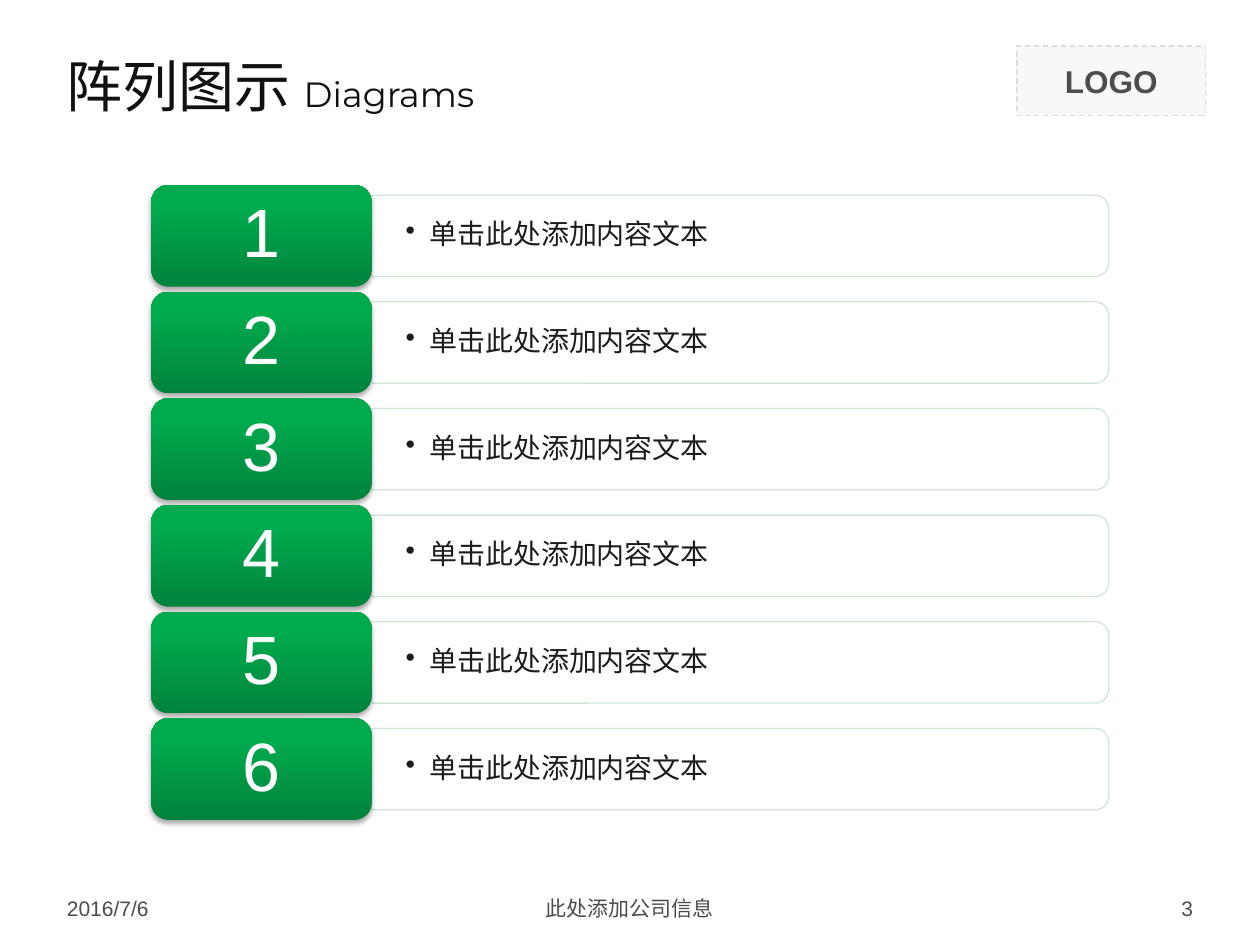
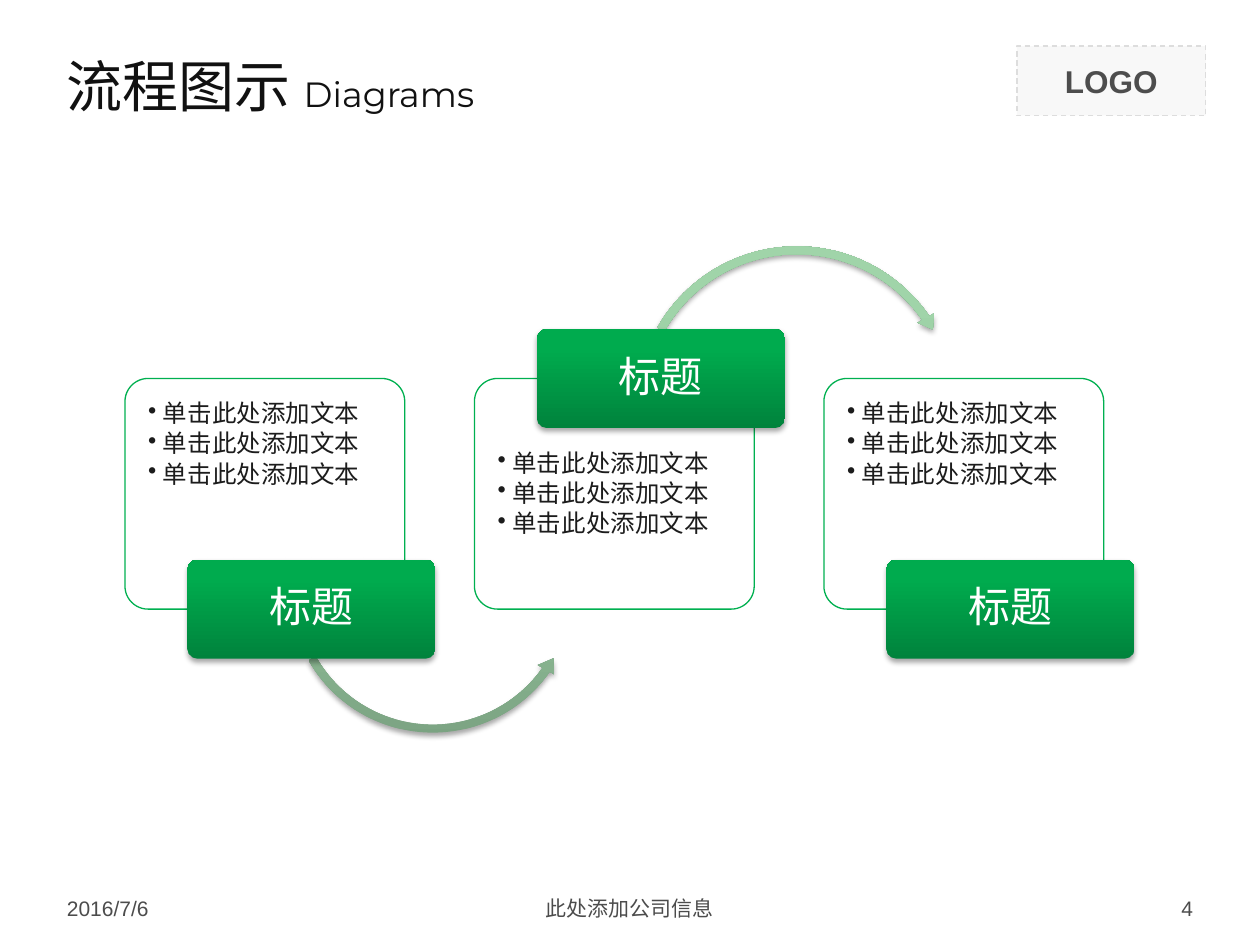
from collections import namedtuple
from dataclasses import dataclass

from lxml import etree
from pptx import Presentation
from pptx.dml.color import RGBColor
from pptx.enum.dml import MSO_LINE
from pptx.enum.shapes import MSO_SHAPE
from pptx.enum.text import MSO_ANCHOR, PP_ALIGN
from pptx.oxml.ns import qn
from pptx.util import Cm, Pt

RECT = MSO_SHAPE.RECTANGLE
ROUNDED = MSO_SHAPE.ROUNDED_RECTANGLE
TOP_ROUNDED = MSO_SHAPE.ROUND_2_SAME_RECTANGLE
ARROW_UNDER = MSO_SHAPE.LEFT_CIRCULAR_ARROW
ARROW_OVER = MSO_SHAPE.CIRCULAR_ARROW
DASH = MSO_LINE.DASH
TOP, MIDDLE = MSO_ANCHOR.TOP, MSO_ANCHOR.MIDDLE
LEFT, CENTER, RIGHT = PP_ALIGN.LEFT, PP_ALIGN.CENTER, PP_ALIGN.RIGHT

Box = namedtuple("Box", "left top width height")  # centimetres


@dataclass(frozen=True)
class Theme:
    font: str = "Arial"
    title_font: str = "Montserrat"
    title: str = "111111"
    body: str = "1C1C1C"
    footer: str = "4C4C4C"
    logo: str = "4D4D4D"
    logo_fill: str = "F8F8F8"
    logo_line: str = "DDDDDD"
    white: str = "FFFFFF"
    bar_line: str = "CCE4D0"
    card_line: str = "00B050"
    green: tuple = ("00833C", "00AB4E")
    pale_green: tuple = ("7BA382", "A0D4A9")
    title_size: int = 32
    subtitle_size: int = 20
    logo_size: int = 18
    footer_size: int = 12
    number_size: int = 39
    bar_size: int = 16
    tag_size: int = 24
    card_size: int = 14
    hairline: float = 0.75


THEME = Theme()
SLIDE_SIZE = (25.4, 19.05)
LOGO_BOX = Box(20.5, 0.93, 3.81, 1.4)
TITLE_BOX = Box(1.1, 0.71, 23.22, 2.01)
FOOTER_BOX = Box(1.1, 17.93, 23.2, 0.74)
LIST_BOX = Box(3.05, 3.73, 19.3, 12.8)
PROCESS_BOX = Box(2.52, 7.63, 19.73, 4.65)

SUBTITLE = "Diagrams"
DATE = "2016/7/6"
COMPANY = "此处添加公司信息"


# Shared drawing helpers

def rgb(color):
    return RGBColor.from_string(color)


def lengths(box):
    return [Cm(value) for value in box]


def set_opacity(fill_owner, percent):
    """Add an alpha value to every solid colour below an element."""
    for color in fill_owner.iter(qn("a:srgbClr")):
        etree.SubElement(color, qn("a:alpha")).set("val", str(percent * 1000))


def add_outlined(slide, kind, box, fill, line):
    shape = slide.shapes.add_shape(kind, *lengths(box))
    shape.shadow.inherit = False
    shape.fill.solid()
    shape.fill.fore_color.rgb = rgb(fill)
    shape.line.color.rgb = rgb(line)
    shape.line.width = Pt(THEME.hairline)
    return shape


def add_glossy(slide, kind, box, colors):
    """Shape with a vertical gradient and a soft shadow below it."""
    shape = slide.shapes.add_shape(kind, *lengths(box))
    shape.line.fill.background()
    shape.fill.gradient()
    shape.fill.gradient_angle = 90
    for stop, color, position in zip(shape.fill.gradient_stops, colors, (0, 0.8)):
        stop.color.rgb = rgb(color)
        stop.position = position

    shape.shadow.inherit = False
    effects = shape._element.spPr.find(qn("a:effectLst"))
    shadow = etree.SubElement(effects, qn("a:outerShdw"), blurRad=str(Pt(3.1)),
                              dist=str(Pt(1.8)), dir="5400000", rotWithShape="0")
    etree.SubElement(shadow, qn("a:srgbClr"), val="000000")
    set_opacity(shadow, 35)
    return shape


def add_bullet(paragraph, indent):
    properties = paragraph._p.get_or_add_pPr()
    properties.set("marL", str(Cm(indent)))
    properties.set("indent", str(-Cm(indent)))
    etree.SubElement(properties, qn("a:buChar"), char="•")


def write(shape, lines, size, color, align=LEFT, anchor=MIDDLE, insets=None,
          bullet_indent=None, spacing=None, bold=False):
    """Fill a shape with equally styled paragraphs; insets run left, top, right, bottom."""
    frame = shape.text_frame
    frame.word_wrap = True
    frame.vertical_anchor = anchor
    if insets:
        (frame.margin_left, frame.margin_top,
         frame.margin_right, frame.margin_bottom) = lengths(insets)
    frame.text = "\n".join(lines)
    for paragraph in frame.paragraphs:
        if bullet_indent:
            add_bullet(paragraph, bullet_indent)
        paragraph.alignment = align
        if spacing:
            paragraph.line_spacing = spacing
            paragraph.space_after = Pt(0.15 * size)
        paragraph.font.name = THEME.font
        paragraph.font.size = Pt(size)
        paragraph.font.bold = bold
        paragraph.font.color.rgb = rgb(color)


# Parts on every slide

def add_logo_field(slide, box):
    field = add_outlined(slide, RECT, box, THEME.logo_fill, THEME.logo_line)
    field.line.dash_style = DASH
    write(field, ["LOGO"], THEME.logo_size, THEME.logo, CENTER, bold=True)


def add_title(slide, box, title, subtitle):
    frame = slide.shapes.add_textbox(*lengths(box)).text_frame
    frame.word_wrap = True
    frame.vertical_anchor = MIDDLE
    heading = frame.paragraphs[0]
    heading.font.name = THEME.title_font
    heading.font.color.rgb = rgb(THEME.title)
    for text, size in ((title + " ", THEME.title_size), (subtitle, THEME.subtitle_size)):
        run = heading.add_run()
        run.text = text
        run.font.size = Pt(size)


def add_footer(slide, box, number):
    side, middle = 5.92, 8.05
    fields = (
        (DATE, 0, side, LEFT),
        (COMPANY, (box.width - middle) / 2, middle, CENTER),
        (str(number), box.width - side, side, RIGHT),
    )
    for text, offset, width, align in fields:
        field = slide.shapes.add_textbox(
            *lengths(Box(box.left + offset, box.top, width, box.height)))
        write(field, [text], THEME.footer_size, THEME.footer, align)


def new_slide(deck, title, number):
    slide = deck.slides.add_slide(deck.slide_layouts[6])
    add_logo_field(slide, LOGO_BOX)
    add_title(slide, TITLE_BOX, title, SUBTITLE)
    add_footer(slide, FOOTER_BOX, number)
    return slide


# Numbered list

def add_bar(slide, box, text):
    # The outline is turned a quarter so its rounded end faces right
    upright = Box(box.left + (box.width - box.height) / 2,
                  box.top + (box.height - box.width) / 2, box.height, box.width)
    outline = add_outlined(slide, TOP_ROUNDED, upright, THEME.white, THEME.bar_line)
    outline.rotation = 90
    set_opacity(outline._element.spPr, 90)
    label = slide.shapes.add_textbox(*lengths(box))
    write(label, [text], THEME.bar_size, THEME.body, insets=(0.69, 0.36, 0.69, 0.36),
          bullet_indent=0.48, spacing=0.9)


def add_numbered_list(slide, box, items):
    gap = 0.1
    height = (box.height - gap * (len(items) - 1)) / len(items)
    badge_width = 0.23 * box.width
    bar_height = 0.8 * height
    for index, text in enumerate(items):
        top = box.top + index * (height + gap)
        add_bar(slide, Box(box.left + badge_width, top + (height - bar_height) / 2,
                           box.width - badge_width, bar_height), text)
        badge = add_glossy(slide, ROUNDED, Box(box.left, top, badge_width, height),
                           THEME.green)
        write(badge, [str(index + 1)], THEME.number_size, THEME.white, CENTER,
              insets=(0.41, 0.2, 0.41, 0.2), spacing=0.9)


# Process

def add_card(slide, box, lines, top_inset):
    card = add_outlined(slide, ROUNDED, box, THEME.white, THEME.card_line)
    card.adjustments[0] = 0.1
    set_opacity(card._element.spPr.find(qn("a:solidFill")), 90)
    write(card, lines, THEME.card_size, THEME.body, anchor=TOP,
          insets=(0.33, top_inset, 0.33, 0.33), bullet_indent=0.3, spacing=0.9)


def add_curved_arrow(slide, kind, box, shaft, head_angle, end, start, head):
    """Shaft and head widths are percentages, the angles degrees."""
    arrow = add_glossy(slide, kind, box, THEME.pale_green)
    values = (shaft / 100, head_angle * 0.6, end * 0.6, start * 0.6, head / 100)
    for index, value in enumerate(values):
        arrow.adjustments[index] = value


def add_process(slide, box, steps):
    card_width, tag_width, tag_height, tag_shift = 5.64, 5.0, 2.0, 1.26
    pitch = (box.width - card_width) / (len(steps) - 1)
    arrows = (
        (ARROW_UNDER, Box(3.22, 1.28, 5.97, 5.97), (2.7, 5.55, 35.14, 150.41, 3.2)),
        (ARROW_OVER, Box(3.16, -2.77, 6.68, 6.68), (2.4, 4.91, 325.5, 209.59, 2.8)),
    )
    for index, (tag_text, lines) in enumerate(steps):
        left = box.left + index * pitch
        raised = index % 2 == 1
        add_card(slide, Box(left, box.top, card_width, box.height), lines,
                 0.33 + (tag_height / 2 if raised else 0))

        # Arrow to the next card
        if index < len(arrows):
            kind, place, bend = arrows[index]
            add_curved_arrow(slide, kind, Box(left + place.left, box.top + place.top,
                                              place.width, place.height), *bend)

        # Tag centred on the card's upper or lower edge
        edge = box.top + (0 if raised else box.height)
        tag = add_glossy(slide, ROUNDED, Box(left + tag_shift, edge - tag_height / 2,
                                             tag_width, tag_height), THEME.green)
        tag.adjustments[0] = 0.1
        write(tag, [tag_text], THEME.tag_size, THEME.white, CENTER,
              insets=(0.13, 0.08, 0.13, 0.08), spacing=0.9)


def main():
    deck = Presentation()
    deck.slide_width, deck.slide_height = lengths(SLIDE_SIZE)

    list_slide = new_slide(deck, "阵列图示", 3)
    add_numbered_list(list_slide, LIST_BOX, ["单击此处添加内容文本"] * 6)

    process_slide = new_slide(deck, "流程图示", 4)
    add_process(process_slide, PROCESS_BOX, [("标题", ["单击此处添加文本"] * 3)] * 3)

    deck.save("out.pptx")


if __name__ == "__main__":
    main()
